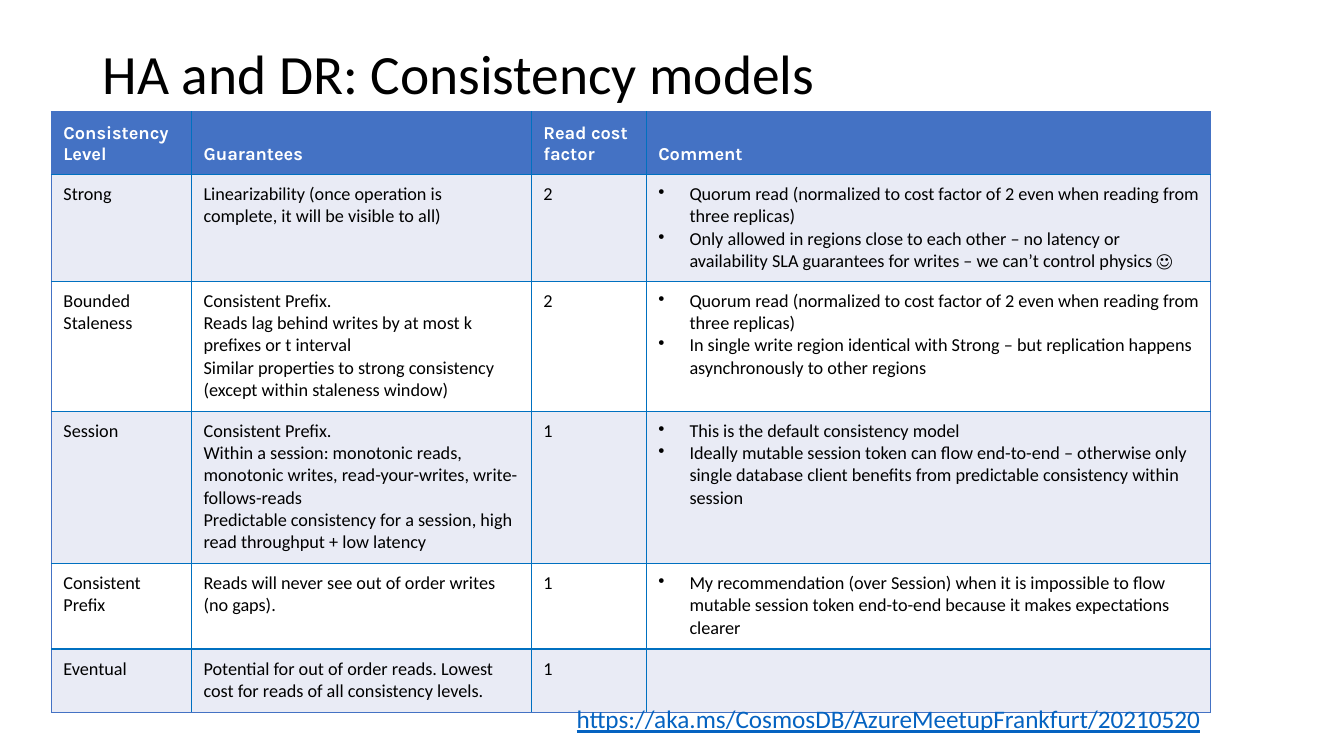
import pptx
import pptx.util
import pptx.dml.color
import pptx.enum.text
import pptx.oxml.ns
from lxml import etree
from pptx.util import Inches

RGBColor = pptx.dml.color.RGBColor
ANCHOR = pptx.enum.text.MSO_ANCHOR
BLACK = RGBColor(0x00, 0x00, 0x00)
WHITE = RGBColor(0xFF, 0xFF, 0xFF)
HEADER = RGBColor(0x44, 0x72, 0xC4)
BAND = RGBColor(0xE9, 0xEB, 0xF5)
GRID = RGBColor(0x00, 0x70, 0xC0)
LINK = RGBColor(0x05, 0x63, 0xC1)

COL_WIDTHS = [1.39, 3.37, 1.14, 5.6]
ROW_HEIGHTS = [0.62, 1.06, 1.29, 1.51, 0.85, 0.63]
COMMENT_COL = 3
QUORUM = "Quorum read (normalized to cost factor of 2 even when reading from three replicas)"
ROWS = [
    [["Consistency Level"], ["Guarantees"], ["Read cost factor"], ["Comment"]],
    [["Strong"],
     ["Linearizability (once operation is complete, it will be visible to all)"],
     ["2"],
     [QUORUM,
      "Only allowed in regions close to each other – no latency or availability SLA "
      "guarantees for writes – we can’t control physics ☺"]],
    [["Bounded Staleness"],
     ["Consistent Prefix.",
      "Reads lag behind writes by at most k prefixes or t interval",
      "Similar properties to strong consistency (except within staleness window)"],
     ["2"],
     [QUORUM,
      "In single write region identical with Strong – but replication happens "
      "asynchronously to other regions"]],
    [["Session"],
     ["Consistent Prefix.",
      "Within a session: monotonic reads, monotonic writes, read-your-writes, "
      "write-follows-reads",
      "Predictable consistency for a session, high read throughput + low latency"],
     ["1"],
     ["This is the default consistency model",
      "Ideally mutable session token can flow end-to-end – otherwise only single "
      "database client benefits from predictable consistency within session"]],
    [["Consistent Prefix"],
     ["Reads will never see out of order writes (no gaps)."],
     ["1"],
     ["My recommendation (over Session) when it is impossible to flow mutable session "
      "token end-to-end because it makes expectations clearer"]],
    [["Eventual"],
     ["Potential for out of order reads. Lowest cost for reads of all consistency levels."],
     ["1"],
     []],
]


def add_run(p, text, size, color, font="Calibri", bold=False, underline=False):
    """Add one formatted run to a paragraph."""
    r = p.add_run()
    r.text = text
    r.font.name = font
    r.font.size = pptx.util.Pt(size)
    r.font.bold = bold
    r.font.underline = underline
    r.font.color.rgb = color


def add_text(s, box, text, size, color, wrap=True, spacing=1.0, underline=False):
    """Add a one-paragraph text box, centred vertically."""
    tf = s.shapes.add_textbox(*map(Inches, box)).text_frame
    tf.word_wrap = wrap
    tf.vertical_anchor = ANCHOR.MIDDLE
    p = tf.paragraphs[0]
    p.line_spacing = spacing
    add_run(p, text, size, color, underline=underline)


def add_bullet(p):
    """Give a paragraph a hanging round bullet."""
    pPr = p._p.get_or_add_pPr()
    pPr.set("marL", str(Inches(0.31)))
    pPr.set("indent", str(-Inches(0.31)))
    etree.SubElement(pPr, pptx.oxml.ns.qn("a:buChar")).set("char", "•")


def set_border(cell, side, color):
    """Draw a one-point line on one side of a cell."""
    qn = pptx.oxml.ns.qn
    ln = etree.SubElement(cell._tc.get_or_add_tcPr(), qn("a:ln" + side))
    ln.set("w", str(pptx.util.Pt(1)))
    fill = etree.SubElement(ln, qn("a:solidFill"))
    etree.SubElement(fill, qn("a:srgbClr")).set("val", str(color))


def fill_cell(cell, lines, row, col):
    """Set the borders, fill and text of one table cell."""
    outer = {"L": col == 0, "R": col == len(COL_WIDTHS) - 1,
             "T": row == 0, "B": row == len(ROWS) - 1}
    for side, is_outer in outer.items():
        set_border(cell, side, HEADER if is_outer else GRID)
    is_header = row == 0
    cell.fill.solid()
    cell.fill.fore_color.rgb = HEADER if is_header else BAND if row % 2 else WHITE
    cell.margin_left = cell.margin_right = Inches(0.12)
    cell.margin_top = cell.margin_bottom = Inches(0.09)
    cell.vertical_anchor = ANCHOR.BOTTOM if is_header else ANCHOR.TOP
    tf = cell.text_frame
    for i, line in enumerate(lines):
        p = tf.add_paragraph() if i else tf.paragraphs[0]
        if is_header:
            add_run(p, line, 13, WHITE, font="Karla", bold=True)
        else:
            if col == COMMENT_COL:
                add_bullet(p)
            add_run(p, line, 13, BLACK)


def add_consistency_table(s):
    """Add the table that compares the consistency levels."""
    box = (0.51, 1.11, sum(COL_WIDTHS), sum(ROW_HEIGHTS))
    table = s.shapes.add_table(len(ROWS), len(COL_WIDTHS), *map(Inches, box)).table
    for column, width in zip(table.columns, COL_WIDTHS):
        column.width = Inches(width)
    for row, height in zip(table.rows, ROW_HEIGHTS):
        row.height = Inches(height)
    for i, cells in enumerate(ROWS):
        for j, lines in enumerate(cells):
            fill_cell(table.cell(i, j), lines, i, j)


def main():
    """Build the slide and save it."""
    prs = pptx.Presentation()
    prs.slide_width, prs.slide_height = Inches(13.33), Inches(7.5)
    s = prs.slides.add_slide(prs.slide_layouts[6])
    add_text(s, (0.92, 0.4, 11.5, 0.71), "HA and DR: Consistency models", 39.6, BLACK,
             spacing=0.9)
    add_consistency_table(s)
    add_text(s, (5.62, 6.93, 6.46, 0.4),
             "https://aka.ms/CosmosDB/AzureMeetupFrankfurt/20210520", 18, LINK,
             wrap=False, underline=True)
    prs.save("out.pptx")


if __name__ == "__main__":
    main()
